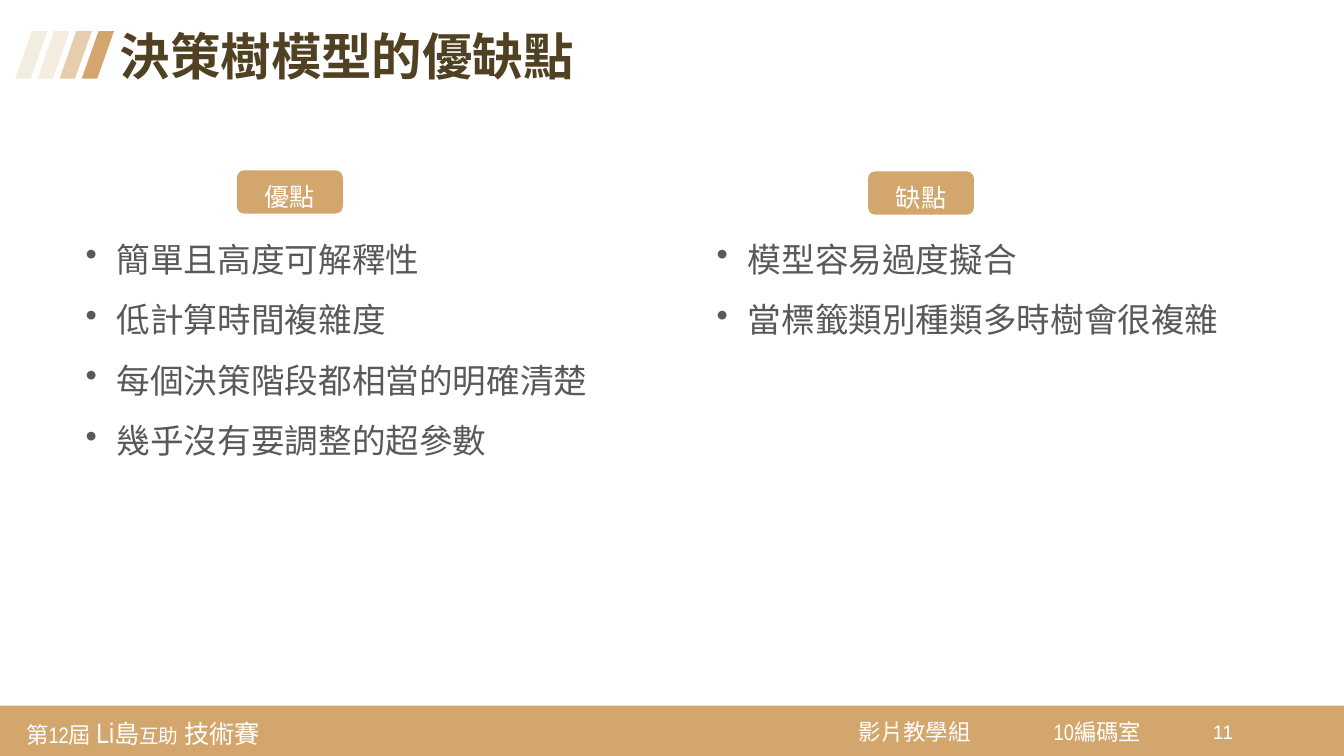
import pptx
import pptx.util
import pptx.dml.color
import pptx.enum.lang
import pptx.enum.shapes
import pptx.enum.text
import pptx.oxml.ns
import lxml.etree

RGBColor = pptx.dml.color.RGBColor
SHAPE = pptx.enum.shapes.MSO_SHAPE
ALIGN = pptx.enum.text.PP_ALIGN
ANCHOR = pptx.enum.text.MSO_ANCHOR
ZH_TW = pptx.enum.lang.MSO_LANGUAGE_ID.TRADITIONAL_CHINESE

TAN = RGBColor(0xD2, 0xA6, 0x6C)
SAND = RGBColor(0xE6, 0xCD, 0xAD)
CREAM = RGBColor(0xF2, 0xEC, 0xE1)
BROWN = RGBColor(0x51, 0x41, 0x23)
GREY = RGBColor(0x59, 0x59, 0x59)
WHITE = RGBColor(0xFF, 0xFF, 0xFF)


def add_run(p, text, size, color, font="Arial", bold=False):
    r = p.add_run()
    r.text = text
    r.font.size = pptx.util.Pt(size)
    r.font.color.rgb = color
    r.font.name = font
    r.font.bold = bold
    r.font.language_id = ZH_TW


def add_bullet(p, indent):
    """Give the paragraph a round bullet with a hanging indent."""
    pPr = p._p.get_or_add_pPr()
    pPr.set("marL", str(indent))
    pPr.set("indent", str(-indent))
    bullet = lxml.etree.SubElement(pPr, pptx.oxml.ns.qn("a:buChar"))
    bullet.set("char", "•")


class Deck:
    """Holds the style and the current slide; every box is (x, y, w, h) in percent of the slide."""

    footer_font = "Arial Narrow"
    badge_font = "Noto Sans CJK SC"
    footer_inset = pptx.util.Inches(0.08)
    bullet_indent = pptx.util.Inches(0.31)

    def __init__(self):
        self.prs = pptx.Presentation()
        self.prs.slide_width = pptx.util.Inches(13.33)
        self.prs.slide_height = pptx.util.Inches(7.5)
        self.s = self.prs.slides.add_slide(self.prs.slide_layouts[6])

    def place(self, box):
        sides = (self.prs.slide_width, self.prs.slide_height) * 2
        return [round(side * share / 100) for side, share in zip(sides, box)]

    def shape(self, kind, box, fill):
        sp = self.s.shapes.add_shape(kind, *self.place(box))
        sp.shadow.inherit = False
        sp.fill.solid()
        sp.fill.fore_color.rgb = fill
        sp.line.fill.background()
        return sp

    def text_frame(self, box):
        tf = self.s.shapes.add_textbox(*self.place(box)).text_frame
        tf.word_wrap = True
        return tf

    def title(self, box, text):
        p = self.text_frame(box).paragraphs[0]
        p.line_spacing = 0.9
        add_run(p, text, 36, BROWN, bold=True)

    def footer(self, box, runs):
        """Add a footer label from (text, size) pairs."""
        tf = self.text_frame(box)
        tf.vertical_anchor = ANCHOR.MIDDLE
        tf.margin_left = tf.margin_right = self.footer_inset
        tf.margin_top = tf.margin_bottom = self.footer_inset
        for text, size in runs:
            add_run(tf.paragraphs[0], text, size, WHITE, font=self.footer_font)

    def page_number(self, box, number):
        add_run(self.text_frame(box).paragraphs[0], number, 14, WHITE)

    def bullets(self, box, items):
        tf = self.text_frame(box)
        for i, item in enumerate(items):
            p = tf.add_paragraph() if i else tf.paragraphs[0]
            add_bullet(p, self.bullet_indent)
            p.line_spacing = 1.5
            add_run(p, item, 24, GREY)

    def badge(self, box, text):
        tf = self.shape(SHAPE.ROUNDED_RECTANGLE, box, TAN).text_frame
        tf.vertical_anchor = ANCHOR.MIDDLE
        p = tf.paragraphs[0]
        p.alignment = ALIGN.CENTER
        p.line_spacing = 1.3
        add_run(p, text, 18, WHITE, font=self.badge_font)


def main():
    deck = Deck()

    deck.shape(SHAPE.RECTANGLE, (0, 93.33, 100, 6.67), TAN)
    deck.footer((1.35, 93.6, 21.23, 6.53),
                [("第12屆 ", 16), ("Li", 20), ("島", 18), ("互助", 14), (" 技術賽", 18)])
    deck.footer((63.3, 93.87, 10, 5.73), [("影片教學組", 16)])
    deck.footer((77.8, 93.87, 10, 5.73), [("10編碼室", 16)])
    deck.page_number((89.5, 94.53, 3.15, 5.47), "11")

    stripes = list(enumerate((CREAM, CREAM, SAND, TAN)))
    for i, color in reversed(stripes):
        stripe = deck.shape(SHAPE.PARALLELOGRAM, (1.13 + 1.65 * i, 4.13, 2.4, 6.27), color)
        stripe.adjustments[0] = 0.52
    deck.title((8.18, 3.6, 76.5, 8.67), "決策樹模型的優缺點")

    columns = [
        (5.63, 22.53, "優點", ["簡單且高度可解釋性", "低計算時間複雜度",
                             "每個決策階段都相當的明確清楚", "幾乎沒有要調整的超參數"]),
        (52.59, 22.67, "缺點", ["模型容易過度擬合", "當標籤類別種類多時樹會很複雜"]),
    ]
    for left, badge_top, heading, items in columns:
        deck.bullets((left, 28.27, 39.83, 8.2 * len(items)), items)
        deck.badge((left + 12, badge_top, 7.88, 5.73), heading)

    deck.prs.save("out.pptx")


if __name__ == "__main__":
    main()
